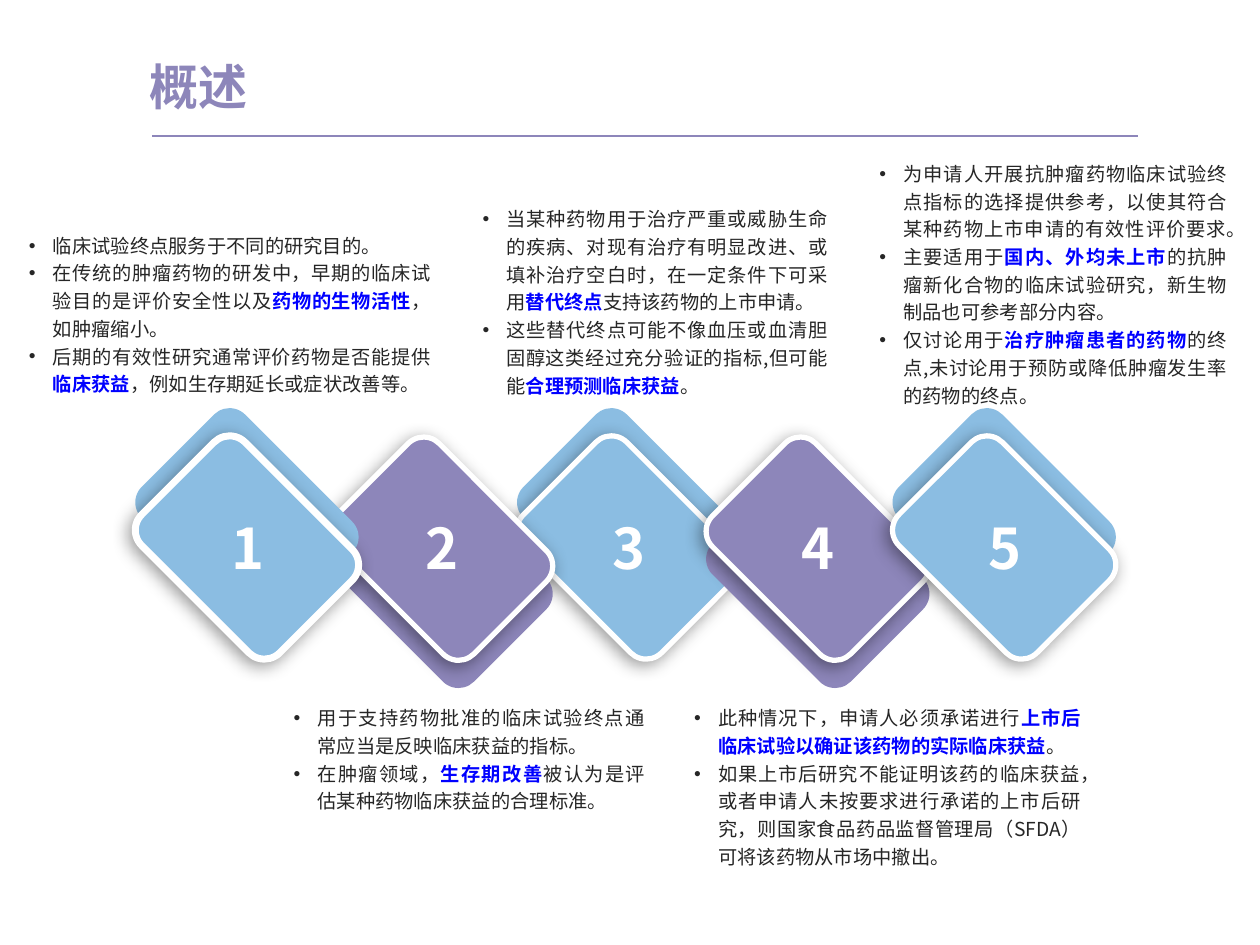
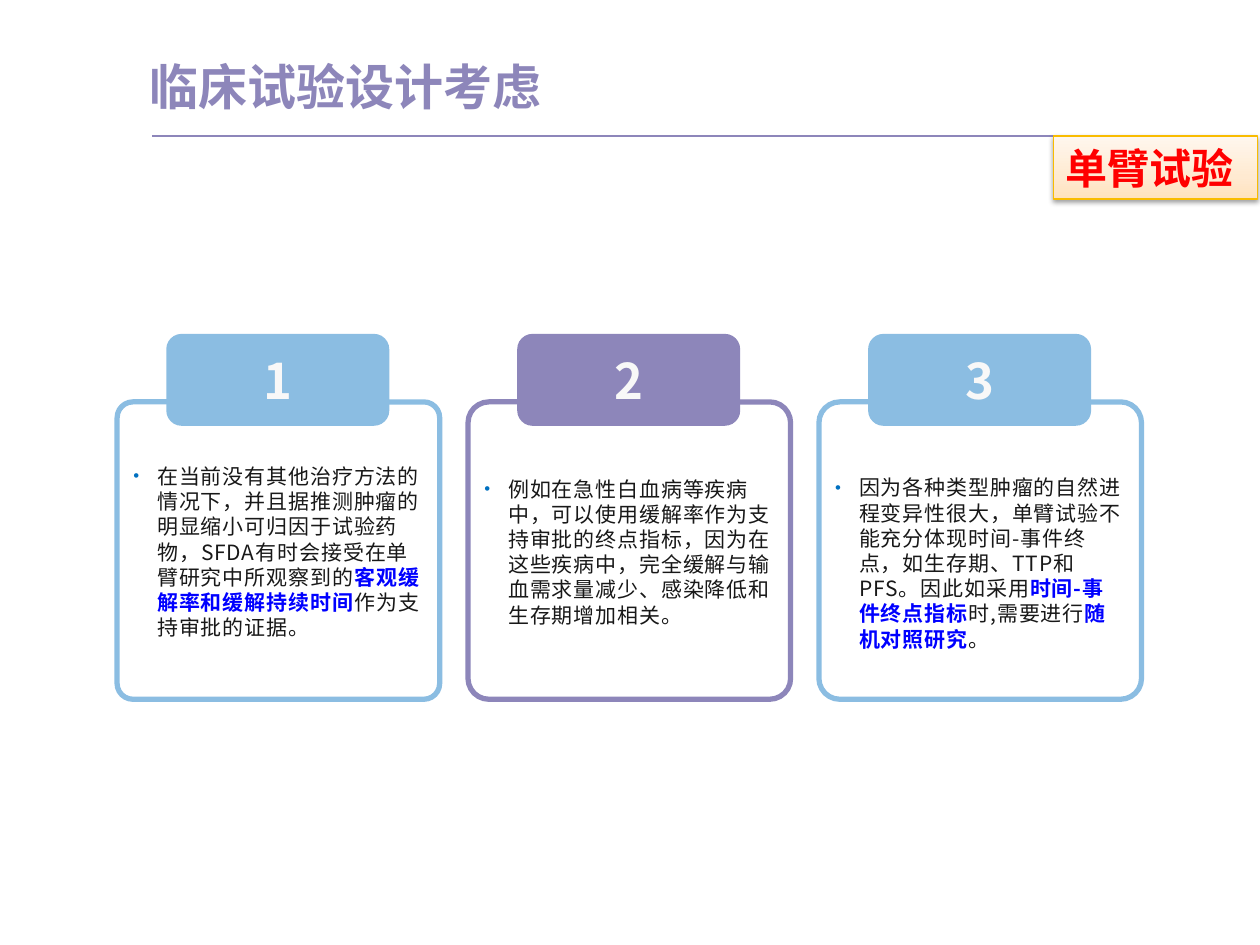
from lxml import etree
from pptx import Presentation
from pptx.dml.color import RGBColor
from pptx.enum.shapes import MSO_CONNECTOR, MSO_SHAPE
from pptx.enum.text import MSO_ANCHOR, PP_ALIGN
from pptx.oxml import parse_xml
from pptx.oxml.ns import qn
from pptx.util import Inches, Pt

BLUE = RGBColor(0x8B, 0xBD, 0xE2)
PURPLE = RGBColor(0x8D, 0x86, 0xBA)
WHITE = RGBColor(0xFF, 0xFF, 0xFF)
OFF_WHITE = RGBColor(0xF8, 0xF8, 0xF8)
DARK = RGBColor(0x26, 0x26, 0x26)
INK = RGBColor(0x18, 0x18, 0x18)
KEY_BLUE = RGBColor(0x00, 0x00, 0xFF)
BULLET_BLUE = RGBColor(0x00, 0x70, 0xC0)
RED = RGBColor(0xFF, 0x00, 0x00)
GOLD = RGBColor(0xF9, 0xBC, 0x00)
TAG_STOPS = [(0, RGBColor(0xFF, 0xE2, 0xBD)), (35, RGBColor(0xFF, 0xEA, 0xD1)),
             (100, RGBColor(0xFF, 0xF7, 0xEE))]
CJK = "Noto Sans CJK SC"
A_NS = 'xmlns:a="http://schemas.openxmlformats.org/drawingml/2006/main"'
RULE_Y = 1.08

# Key phrases stand between asterisks.
OVERVIEW = [
    ((0.23, 1.82, 3.19, 1.33), [
        "临床试验终点服务于不同的研究目的。",
        "在传统的肿瘤药物的研发中，早期的临床试验目的是评价安全性以及*药物的生物活性*，如肿瘤缩小。",
        "后期的有效性研究通常评价药物是否能提供*临床获益*，例如生存期延长或症状改善等。"]),
    ((2.33, 5.57, 2.79, 0.89), [
        "用于支持药物批准的临床试验终点通常应当是反映临床获益的指标。",
        "在肿瘤领域，*生存期改善*被认为是评估某种药物临床获益的合理标准。"]),
    ((3.83, 1.61, 2.74, 1.56), [
        "当某种药物用于治疗严重或威胁生命的疾病、对现有治疗有明显改进、或填补治疗空白时，"
        "在一定条件下可采用*替代终点*支持该药物的上市申请。",
        "这些替代终点可能不像血压或血清胆固醇这类经过充分验证的指标,但可能能*合理预测临床获益*。"]),
    ((5.51, 5.57, 3.07, 1.33), [
        "此种情况下，申请人必须承诺进行*上市后临床试验以确证该药物的实际临床获益*。",
        "如果上市后研究不能证明该药的临床获益，或者申请人未按要求进行承诺的上市后研究，"
        "则国家食品药品监督管理局（SFDA）可将该药物从市场中撤出。"]),
    ((6.98, 1.25, 2.76, 2), [
        "为申请人开展抗肿瘤药物临床试验终点指标的选择提供参考，以使其符合某种药物上市申请的有效性评价要求。",
        "主要适用于*国内、外均未上市*的抗肿瘤新化合物的临床试验研究，新生物制品也可参考部分内容。",
        "仅讨论用于*治疗肿瘤患者的药物*的终点,未讨论用于预防或降低肿瘤发生率的药物的终点。"]),
]
TILE_LEFTS = {3: 4.41, 2: 2.92, 1: 1.38, 4: 5.91, 5: 7.39}  # back to front

# Text top, corner rounding, text
CARDS = [
    (3.63, 0.053, "在当前没有其他治疗方法的情况下，并且据推测肿瘤的明显缩小可归因于试验药物，"
     "SFDA有时会接受在单臂研究中所观察到的*客观缓解率和缓解持续时间*作为支持审批的证据。"),
    (3.73, 0.07, "例如在急性白血病等疾病中，可以使用缓解率作为支持审批的终点指标，因为在这些疾病中，"
     "完全缓解与输血需求量减少、感染降低和生存期增加相关。"),
    (3.72, 0.07, "因为各种类型肿瘤的自然进程变异性很大，单臂试验不能充分体现时间-事件终点，"
     "如生存期、TTP和PFS。因此如采用*时间-事件终点指标*时,需要进行*随机对照研究*。"),
]


def inches(box):
    return [Inches(v) for v in box]


def add_run(p, text, size, color, bold=False, font=CJK, spacing=None):
    r = p.add_run()
    r.text = text
    for name, value in {"size": Pt(size), "bold": bold, "name": font}.items():
        setattr(r.font, name, value)
    r.font.color.rgb = color
    rPr = r.font._element
    etree.SubElement(rPr, qn("a:ea"), typeface=CJK)
    if spacing:
        rPr.set("spc", str(int(spacing * 100)))


def add_rich_text(p, text, size, color, spacing=None):
    for i, part in enumerate(text.split("*")):
        key = i % 2 == 1
        add_run(p, part, size, KEY_BLUE if key else color, key, spacing=spacing)


def add_bullet(p, color=None, percent=None, tab=None):
    pPr = p._p.get_or_add_pPr()
    pPr.set("marL", str(Inches(0.19)))
    pPr.set("indent", str(-Inches(0.19)))
    if color:
        clr = etree.SubElement(pPr, qn("a:buClr"))
        etree.SubElement(clr, qn("a:srgbClr"), val=str(color))
    if percent:
        etree.SubElement(pPr, qn("a:buSzPct"), val=str(percent * 1000))
    etree.SubElement(pPr, qn("a:buFont"), typeface="Arial")
    etree.SubElement(pPr, qn("a:buChar"), char="•")
    if tab:
        tabs = etree.SubElement(pPr, qn("a:tabLst"))
        etree.SubElement(tabs, qn("a:tab"), pos=str(Inches(tab)), algn="l")


def add_text_box(s, box, inset=True):
    tf = s.shapes.add_textbox(*inches(box)).text_frame
    tf.word_wrap = True
    if not inset:
        for side in ("left", "top", "right", "bottom"):
            setattr(tf, f"margin_{side}", 0)
    return tf


def add_box(s, kind, box, fill=None, line=None, width=3, corner=None):
    sp = s.shapes.add_shape(kind, *inches(box))
    sp.shadow.inherit = False
    if corner:
        sp.adjustments[0] = corner
    if fill:
        sp.fill.solid()
        sp.fill.fore_color.rgb = fill
    else:
        sp.fill.background()
    if line:
        sp.line.color.rgb = line
        sp.line.width = Pt(width)
    else:
        sp.line.fill.background()
    return sp


def add_shadow(sp, alpha, blur, dist, angle):
    effects = sp._element.spPr.find(qn("a:effectLst"))
    effects.append(parse_xml(
        f'<a:outerShdw {A_NS} blurRad="{Pt(blur)}" dist="{Pt(dist)}" dir="{angle * 60000}" '
        f'algn="ctr" rotWithShape="0"><a:srgbClr val="000000">'
        f'<a:alpha val="{alpha * 1000}"/></a:srgbClr></a:outerShdw>'))


def add_header(s, title):
    p = add_text_box(s, (1.19, 0.45, 5.79, 0.47), inset=False).paragraphs[0]
    add_run(p, title, 28, PURPLE, True)
    rule = s.shapes.add_connector(MSO_CONNECTOR.STRAIGHT, *inches((1.21, RULE_Y, 9.03, RULE_Y)))
    rule.line.color.rgb = PURPLE
    rule.line.width = Pt(0.75)
    etree.SubElement(rule._element.spPr, qn("a:effectLst"))


def add_tile(s, number, left):
    """Two stacked diamonds: blue ones peek out above, purple ones below."""
    odd = number % 2 == 1
    color, rotation = (BLUE, 315) if odd else (PURPLE, 135)
    back_top, front_top = (3.35, 3.57) if odd else (3.8, 3.58)
    kind = MSO_SHAPE.ROUNDED_RECTANGLE
    back = add_box(s, kind, (left, back_top, 1.16, 1.55), color, corner=0.15)
    front = add_box(s, kind, (left, front_top, 1.16, 1.55), color, WHITE,
                    4 if number == 1 else 3, 0.15)
    back.rotation = front.rotation = rotation
    add_shadow(front, 40, 10, 3, 135)


def add_tile_number(s, number, left):
    tf = add_text_box(s, (left + 0.09, 4.2, 0.99, 0.29))
    tf.vertical_anchor = MSO_ANCHOR.MIDDLE
    p = tf.paragraphs[0]
    p.alignment = PP_ALIGN.CENTER
    add_run(p, str(number), 32, WHITE, True)


def add_notes_list(s, box, items):
    tf = add_text_box(s, box, inset=False)
    for i, item in enumerate(items):
        p = tf.add_paragraph() if i else tf.paragraphs[0]
        add_bullet(p)
        p.alignment = PP_ALIGN.JUSTIFY
        p.line_spacing = 1.2
        add_rich_text(p, item, 11, DARK)


def add_card(s, left, number, text_top, corner, text):
    color = BLUE if number % 2 else PURPLE
    kind = MSO_SHAPE.ROUNDED_RECTANGLE
    add_box(s, kind, (left, 3.19, 2.56, 2.36), line=color, corner=corner)
    tab = add_box(s, kind, (left + 0.39, 2.65, 1.77, 0.73), color)
    p = tab.text_frame.paragraphs[0]
    p.alignment = PP_ALIGN.CENTER
    add_run(p, str(number), 28, OFF_WHITE, True)
    p = add_text_box(s, (left + 0.03, text_top, 2.49, 1.51)).paragraphs[0]
    add_bullet(p, BULLET_BLUE, 80, 0.15)
    p._p.get_or_add_pPr().set("hangingPunct", "0")
    add_rich_text(p, text, 12, INK, spacing=0.5)


def add_tag(s, box, text):
    sp = add_box(s, MSO_SHAPE.RECTANGLE, box, line=GOLD, width=0.75)
    stops = "".join(f'<a:gs pos="{pos * 1000}"><a:srgbClr val="{color}"/></a:gs>'
                    for pos, color in TAG_STOPS)
    spPr = sp._element.spPr
    spPr.replace(spPr.find(qn("a:noFill")), parse_xml(
        f'<a:gradFill {A_NS} rotWithShape="1"><a:gsLst>{stops}</a:gsLst>'
        f'<a:lin ang="{270 * 60000}" scaled="0"/></a:gradFill>'))
    add_shadow(sp, 38, 3.1, 1.6, 90)
    tf = sp.text_frame
    tf.word_wrap = False
    p = tf.paragraphs[0]
    p.alignment = PP_ALIGN.LEFT
    add_run(p, text, 24, RED, True, "Calibri")


def build_overview(s):
    for number, left in TILE_LEFTS.items():
        add_tile(s, number, left)
    for number, left in TILE_LEFTS.items():
        add_tile_number(s, number, left)
    for box, items in OVERVIEW:
        add_notes_list(s, box, items)
    add_header(s, "概述")


def build_trial_design(s):
    for i, card in enumerate(CARDS):
        add_card(s, 0.93 + 2.785 * i, i + 1, *card)
    add_header(s, "临床试验设计考虑")
    add_tag(s, (8.36, RULE_Y, 1.62, 0.5), "单臂试验")


def main():
    prs = Presentation()
    prs.slide_width, prs.slide_height = Inches(10), Inches(7.5)
    for build in (build_overview, build_trial_design):
        build(prs.slides.add_slide(prs.slide_layouts[6]))
    prs.save("out.pptx")


if __name__ == "__main__":
    main()
